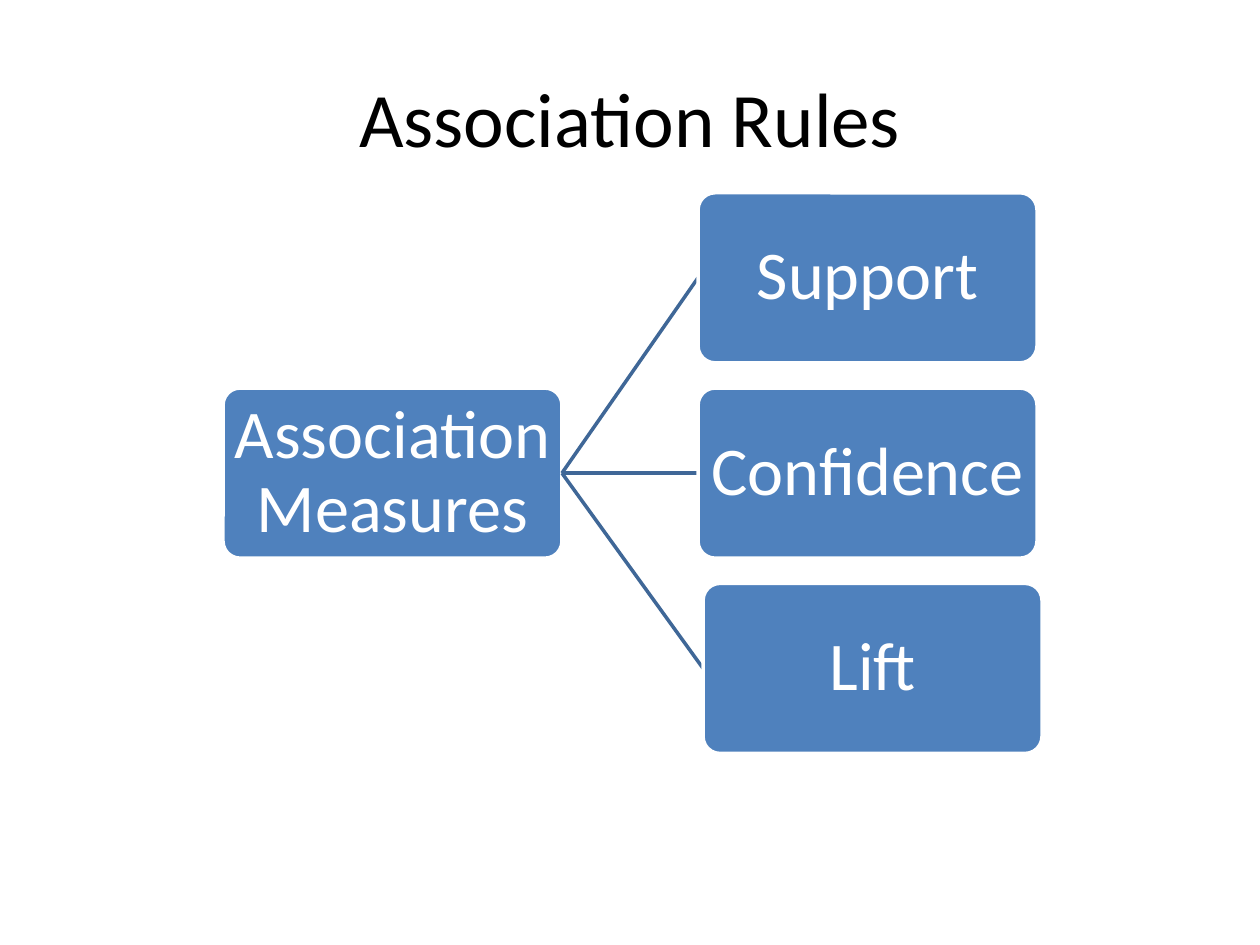
from dataclasses import dataclass

import pptx
import pptx.dml.color
import pptx.enum.shapes
import pptx.enum.text
import pptx.oxml
import pptx.oxml.ns
import pptx.util
from pptx.shapes.autoshape import Shape
from pptx.shapes.connector import Connector
from pptx.shapes.shapetree import SlideShapes

BLACK = pptx.dml.color.RGBColor(0x00, 0x00, 0x00)
WHITE = pptx.dml.color.RGBColor(0xFF, 0xFF, 0xFF)
BOX_BLUE = pptx.dml.color.RGBColor(0x4F, 0x81, 0xBD)
BRANCH_BLUE = pptx.dml.color.RGBColor(0x3F, 0x67, 0x97)
FONT = "Calibri"

# Grid of the tree, in inches
LEFT, TOP = 1.77, 1.53
BOX_WIDTH, BOX_HEIGHT = 2.69, 1.35
COLUMN_STEP, ROW_STEP = 3.77, 1.55
RIGHT_SIDE, LEFT_SIDE = 3, 1


@dataclass(frozen=True)
class Node:
    label: str
    column: int
    row: int
    shift: float = 0  # inches to the right of its column


ROOT = Node("Association Measures", 0, 1)
MEASURES = [
    Node("Support", 1, 0),
    Node("Confidence", 1, 1),
    Node("Lift", 1, 2, shift=0.04),
]


def style_text(paragraph, size: float, color: pptx.dml.color.RGBColor) -> None:
    paragraph.alignment = pptx.enum.text.PP_ALIGN.CENTER
    paragraph.font.name = FONT
    paragraph.font.size = pptx.util.Pt(size)
    paragraph.font.color.rgb = color


def add_node(shapes: SlideShapes, node: Node) -> Shape:
    box = shapes.add_shape(
        pptx.enum.shapes.MSO_SHAPE.ROUNDED_RECTANGLE,
        pptx.util.Inches(LEFT + node.column * COLUMN_STEP + node.shift),
        pptx.util.Inches(TOP + node.row * ROW_STEP),
        pptx.util.Inches(BOX_WIDTH),
        pptx.util.Inches(BOX_HEIGHT),
    )
    box.adjustments[0] = 0.1
    box.shadow.inherit = False
    box.fill.solid()
    box.fill.fore_color.rgb = BOX_BLUE
    box.line.color.rgb = WHITE
    box.line.width = pptx.util.Pt(2)

    frame = box.text_frame
    frame.word_wrap = True
    frame.vertical_anchor = pptx.enum.text.MSO_ANCHOR.MIDDLE
    frame.margin_left = frame.margin_right = pptx.util.Inches(0.03)
    frame.margin_top = frame.margin_bottom = pptx.util.Inches(0.03)
    frame.text = node.label
    frame.paragraphs[0].line_spacing = 0.9
    style_text(frame.paragraphs[0], 39, WHITE)
    return box


def add_branch(shapes: SlideShapes) -> Connector:
    branch = shapes.add_connector(
        pptx.enum.shapes.MSO_CONNECTOR.STRAIGHT, 0, 0, 0, 0
    )
    branch.line.color.rgb = BRANCH_BLUE
    branch.line.width = pptx.util.Pt(2)
    properties = branch.element.spPr
    properties.append(pptx.oxml.parse_xml(
        f"<a:effectLst {pptx.oxml.ns.nsdecls('a')}/>"
    ))
    return branch


def main() -> None:
    presentation = pptx.Presentation()
    presentation.slide_width = pptx.util.Inches(10)
    presentation.slide_height = pptx.util.Inches(7.5)
    slide = presentation.slides.add_slide(presentation.slide_layouts[5])

    # Title
    title = slide.shapes.title
    title.left, title.top = pptx.util.Inches(0.5), pptx.util.Inches(0.3)
    title.width, title.height = pptx.util.Inches(9), pptx.util.Inches(1.25)
    title.text_frame.text = "Association Rules"
    title.text_frame.vertical_anchor = pptx.enum.text.MSO_ANCHOR.MIDDLE
    style_text(title.text_frame.paragraphs[0], 44, BLACK)

    # Tree: each branch lies behind the measure it leads to
    root_box = add_node(slide.shapes, ROOT)
    for measure in MEASURES:
        branch = add_branch(slide.shapes)
        measure_box = add_node(slide.shapes, measure)
        branch.begin_connect(root_box, RIGHT_SIDE)
        branch.end_connect(measure_box, LEFT_SIDE)

    presentation.save("out.pptx")


if __name__ == "__main__":
    main()
